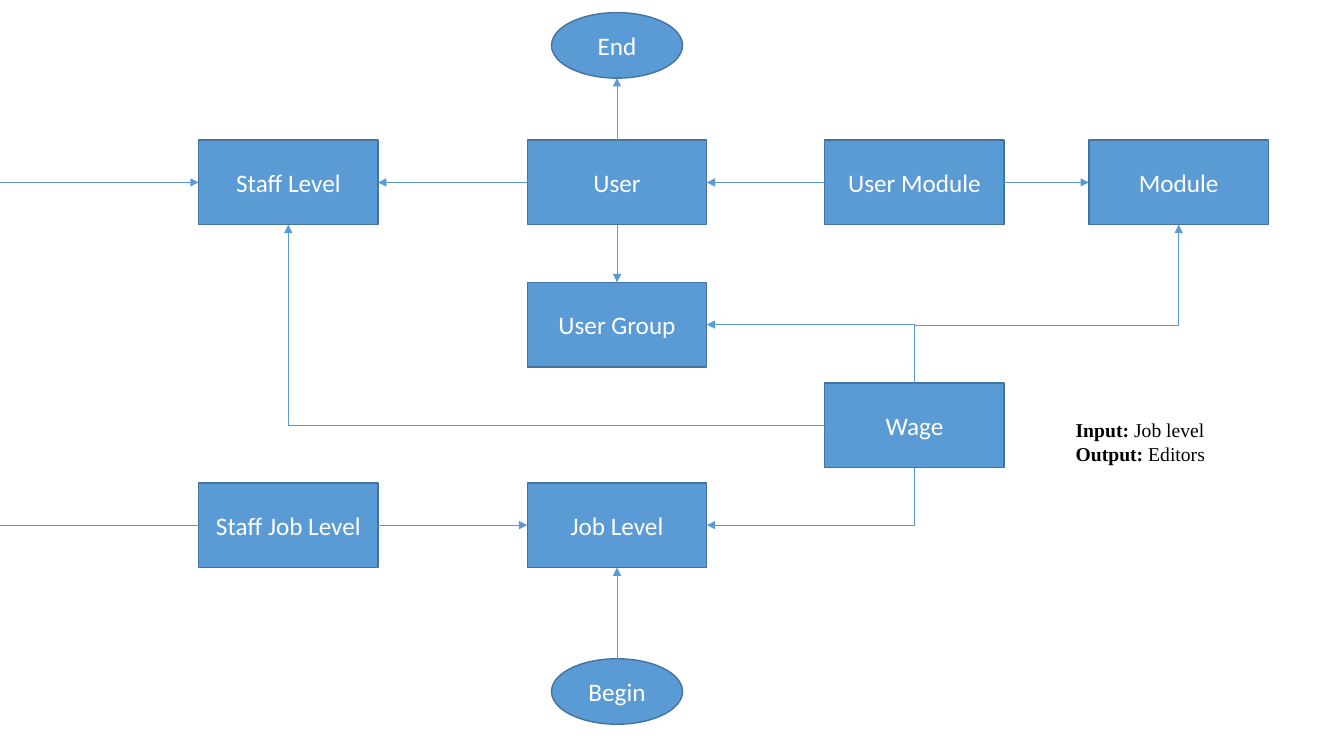
"""Build a flowchart slide of staff, user, module and wage tables."""
from pptx import Presentation
from pptx.dml.color import RGBColor
from pptx.enum.shapes import MSO_CONNECTOR, MSO_SHAPE
from pptx.enum.text import MSO_ANCHOR, MSO_AUTO_SIZE, PP_ALIGN
from pptx.oxml.ns import qn
from pptx.util import Inches, Pt
from lxml import etree

BLUE = RGBColor(0x5B, 0x9B, 0xD5)
DARK_BLUE = RGBColor(0x43, 0x73, 0x9E)
WHITE = RGBColor(0xFF, 0xFF, 0xFF)
BLACK = RGBColor(0x00, 0x00, 0x00)
RECT, OVAL = MSO_SHAPE.RECTANGLE, MSO_SHAPE.OVAL
STRAIGHT, ELBOW = MSO_CONNECTOR.STRAIGHT, MSO_CONNECTOR.ELBOW
CENTER, MIDDLE = PP_ALIGN.CENTER, MSO_ANCHOR.MIDDLE
GROW = MSO_AUTO_SIZE.SHAPE_TO_FIT_TEXT
TOP, LEFT, BOTTOM, RIGHT = range(4)
BOX_SIZE, OVAL_SIZE = (1.78, 0.84), (1.3, 0.65)
COL_STAFF, COL_USER, COL_WAGE, COL_MODULE = 2.86, 6.12, 9.07, 11.69
ROW_END, ROW_USER, ROW_GROUP = 0.45, 1.81, 3.22
ROW_WAGE, ROW_JOB, ROW_BEGIN = 4.22, 5.21, 6.86

NODES = [
    ("User", COL_USER, ROW_USER, RECT),
    ("User Module", COL_WAGE, ROW_USER, RECT),
    ("Module", COL_MODULE, ROW_USER, RECT),
    ("User Group", COL_USER, ROW_GROUP, RECT),
    ("Job Level", COL_USER, ROW_JOB, RECT),
    ("Wage", COL_WAGE, ROW_WAGE, RECT),
    ("Staff Job Level", COL_STAFF, ROW_JOB, RECT),
    ("Staff Level", COL_STAFF, ROW_USER, RECT),
    ("Begin", COL_USER, ROW_BEGIN, OVAL),
    ("End", COL_USER, ROW_END, OVAL),
]
STRAIGHT_LINKS = [
    ("User Module", LEFT, "User", RIGHT),
    ("User Module", RIGHT, "Module", LEFT),
    ("User", LEFT, "Staff Level", RIGHT),
    ("User", BOTTOM, "User Group", TOP),
    ("Staff Job Level", RIGHT, "Job Level", LEFT),
    ("Begin", TOP, "Job Level", BOTTOM),
    ("User", TOP, "End", BOTTOM),
]
ELBOW_LINKS = [
    ("Wage", TOP, "User Group", RIGHT, None),
    ("Wage", BOTTOM, "Job Level", RIGHT, None),
    ("Wage", LEFT, "Staff Level", BOTTOM, None),
    ("Wage", TOP, "Module", BOTTOM, 0.367),
]


def add_run(p, text, font, size, color, bold=False):
    """Add one formatted run to a paragraph."""
    r = p.add_run()
    r.text = text
    r.font.name, r.font.size, r.font.bold = font, Pt(size), bold
    r.font.color.rgb = color


def add_node(s, text, center_x, center_y, kind):
    """Add a labelled box or oval around a centre point."""
    w, h = OVAL_SIZE if kind == OVAL else BOX_SIZE
    sp = s.shapes.add_shape(kind, Inches(center_x - w / 2), Inches(center_y - h / 2),
                            Inches(w), Inches(h))
    sp.shadow.inherit = False
    sp.fill.solid()
    sp.fill.fore_color.rgb = BLUE
    sp.line.color.rgb = DARK_BLUE
    sp.line.width = Pt(1)
    tf = sp.text_frame
    tf.word_wrap = True
    tf.vertical_anchor = MIDDLE
    p = tf.paragraphs[0]
    p.alignment = CENTER
    add_run(p, text, "Calibri", 18, WHITE)
    return sp


def port(sp, side):
    """Return the middle of one side of a shape."""
    x, y = sp.left + sp.width // 2, sp.top + sp.height // 2
    return {TOP: (x, sp.top), LEFT: (sp.left, y),
            BOTTOM: (x, sp.top + sp.height), RIGHT: (sp.left + sp.width, y)}[side]


def add_line(s, kind, start, end, arrow=True):
    """Add a thin blue connector, with an arrowhead unless told otherwise."""
    c = s.shapes.add_connector(kind, *start, *end)
    c.line.color.rgb = BLUE
    c.line.width = Pt(0.5)
    if arrow:
        etree.SubElement(c.line._get_or_add_ln(), qn("a:tailEnd"), type="triangle")
    etree.SubElement(c._element.spPr, qn("a:effectLst"))
    return c


def link(s, kind, source, source_side, target, target_side):
    """Join two nodes with a glued connector."""
    c = add_line(s, kind, port(source, source_side), port(target, target_side))
    c.begin_connect(source, source_side)
    if target.auto_shape_type != OVAL:
        c.end_connect(target, target_side)
    return c


def bend(c, vertical, adjust):
    """Shape an elbow with one corner, or with two when adjust is given."""
    geom = c._element.spPr.find(qn("a:prstGeom"))
    geom.set("prst", "bentConnector3" if adjust else "bentConnector2")
    if adjust:
        etree.SubElement(geom.find(qn("a:avLst")), qn("a:gd"), name="adj1",
                         fmla=f"val {round(adjust * 100000)}")
    if vertical:
        dx, dy = c.end_x - c.begin_x, c.end_y - c.begin_y
        mid_x, mid_y = c.begin_x + dx // 2, c.begin_y + dy // 2
        c.width, c.height = abs(dy), abs(dx)
        c.left, c.top = mid_x - c.width // 2, mid_y - c.height // 2
        xfrm = c._element.spPr.find(qn("a:xfrm"))
        xfrm.set("rot", str(90 * 60000))
        xfrm.set("flipH", str(int(dy < 0)))
        xfrm.set("flipV", str(int(dx > 0)))


def add_note(s, lines):
    """Add the input and output note with bold lead words."""
    sp = s.shapes.add_textbox(Inches(10.57), Inches(4.1), Inches(2.14), Inches(0.57))
    tf = sp.text_frame
    tf.word_wrap = True
    tf.auto_size = GROW
    for i, (lead, rest) in enumerate(lines):
        p = tf.add_paragraph() if i else tf.paragraphs[0]
        add_run(p, lead, "Times New Roman", 14, BLACK, True)
        add_run(p, rest, "Times New Roman", 14, BLACK)


def main():
    """Build and save the slide."""
    prs = Presentation()
    prs.slide_width, prs.slide_height = Inches(13.33), Inches(7.5)
    s = prs.slides.add_slide(prs.slide_layouts[6])
    nodes = {node[0]: add_node(s, *node) for node in NODES}
    for source, side, target, target_side in STRAIGHT_LINKS:
        link(s, STRAIGHT, nodes[source], side, nodes[target], target_side)
    for source, side, target, target_side, adjust in ELBOW_LINKS:
        c = link(s, ELBOW, nodes[source], side, nodes[target], target_side)
        bend(c, side in (TOP, BOTTOM), adjust)
    job_x, job_y = port(nodes["Staff Job Level"], LEFT)
    level_x, level_y = port(nodes["Staff Level"], LEFT)
    add_line(s, STRAIGHT, (job_x, job_y), (0, job_y), arrow=False)
    add_line(s, STRAIGHT, (0, level_y), (level_x, level_y))
    add_note(s, [("Input:", " Job level"), ("Output:", " Editors")])
    prs.save("out.pptx")


main()
